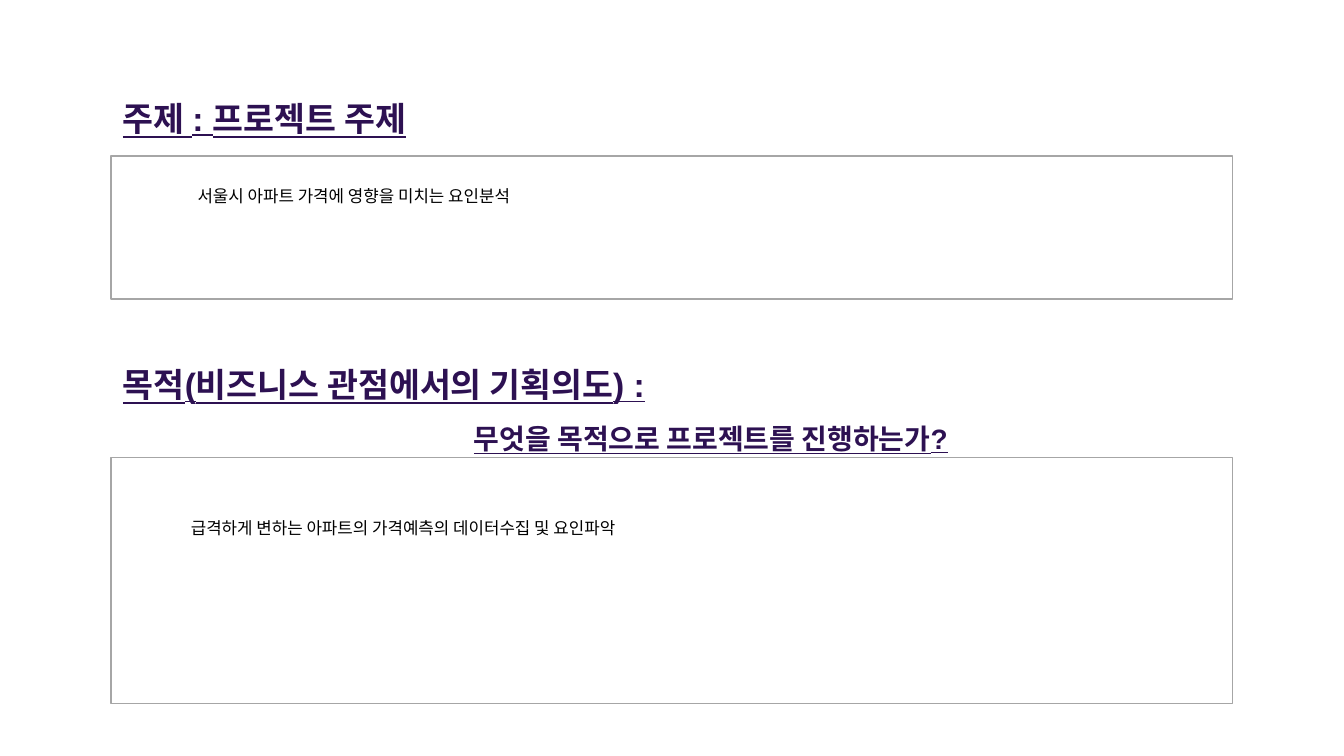
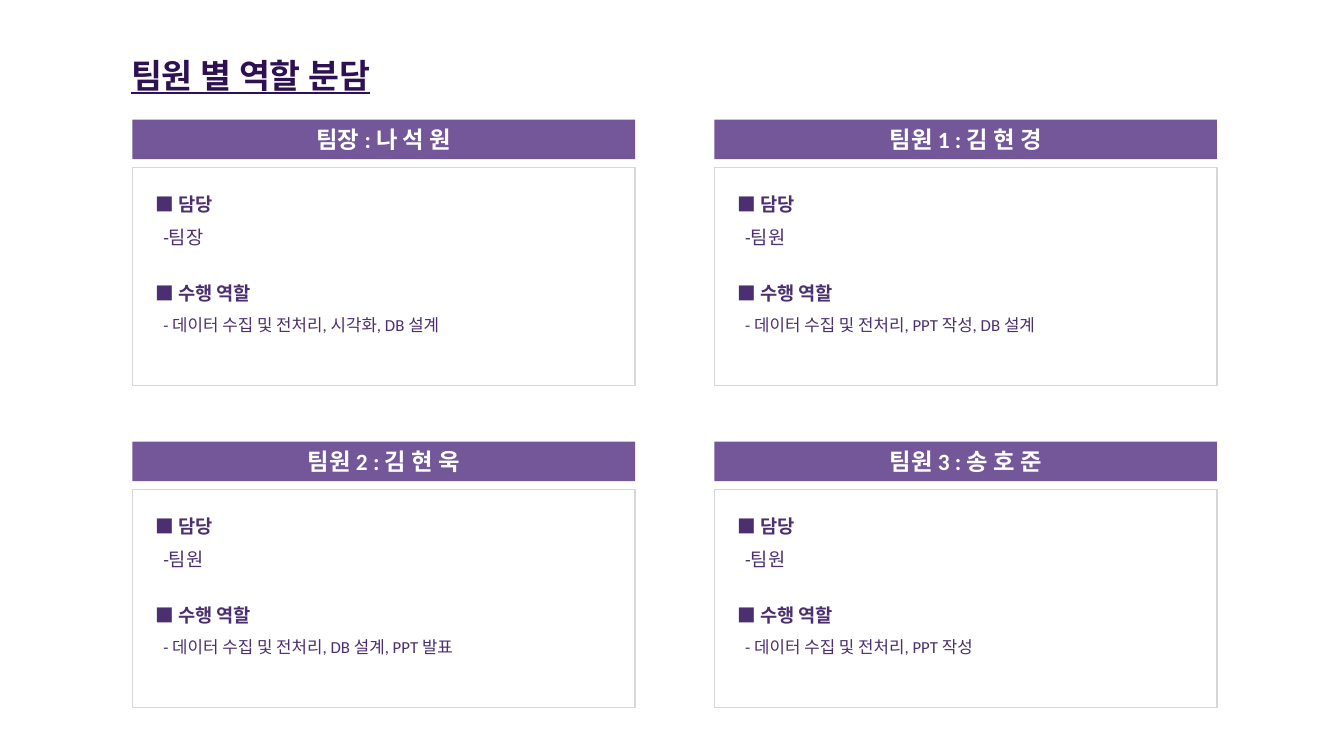
from dataclasses import dataclass

import pptx
import pptx.dml.color
import pptx.enum.shapes
import pptx.enum.text
import pptx.util

COLORS = {
    "heading": "2D1152",
    "body": "4B2F70",
    "band": "735798",
    "frame": "A6A6A6",
    "card": "D6D7DE",
    "black": "000000",
    "white": "FFFFFF",
}
SLIDE_WIDTH = pptx.util.Inches(20)
SLIDE_HEIGHT = pptx.util.Inches(11.25)
HEADING = dict(size=36, font="Arial", color="heading", bold=True, underline=True)


@dataclass(frozen=True)
class Area:
    """Left, top, width and height in percent of the slide's size."""
    left: float
    top: float
    width: float
    height: float

    def lengths(self) -> list[int]:
        return [round(share * full / 100) for share, full in (
            (self.left, SLIDE_WIDTH), (self.top, SLIDE_HEIGHT),
            (self.width, SLIDE_WIDTH), (self.height, SLIDE_HEIGHT))]

    def inside(self, left: float, top: float, width: float, height: float) -> "Area":
        return Area(self.left + left, self.top + top, width, height)


@dataclass(frozen=True)
class Member:
    title: str
    duty: str
    tasks: str


MEMBERS = [
    Member("팀장 : 나 석 원", "팀장", "데이터 수집 및 전처리, 시각화, DB 설계"),
    Member("팀원 1 : 김 현 경", "팀원", "데이터 수집 및 전처리, PPT 작성, DB 설계"),
    Member("팀원 2 : 김 현 욱", "팀원", "데이터 수집 및 전처리, DB 설계, PPT 발표"),
    Member("팀원 3 : 송 호 준", "팀원", "데이터 수집 및 전처리, PPT 작성"),
]


def rgb(name: str) -> pptx.dml.color.RGBColor:
    return pptx.dml.color.RGBColor.from_string(COLORS[name])


def write(frame, text: str, *, size: float, font: str = "Calibri", color: str = "black",
          bold: bool = False, underline: bool = False, spacing: float = 1.0,
          before: float = 0, indent: float = 0, align=None) -> None:
    """Add one paragraph, filling the frame's first one while it is empty."""
    paragraph = frame.paragraphs[0] if not frame.text else frame.add_paragraph()
    paragraph.line_spacing = spacing
    paragraph.space_before = pptx.util.Pt(before)
    paragraph.alignment = align
    if indent:
        properties = paragraph._p.get_or_add_pPr()
        properties.set("marL", str(pptx.util.Inches(indent)))
        properties.set("indent", "0")
    run = paragraph.add_run()
    run.text = text
    run.font.size = pptx.util.Pt(size)
    run.font.name = font
    run.font.color.rgb = rgb(color)
    run.font.bold = bold
    run.font.underline = underline


def add_text_frame(slide, area: Area, wrap: bool = True):
    frame = slide.shapes.add_textbox(*area.lengths()).text_frame
    frame.word_wrap = wrap
    frame.auto_size = pptx.enum.text.MSO_AUTO_SIZE.SHAPE_TO_FIT_TEXT
    frame.margin_left = frame.margin_right = pptx.util.Inches(0.18)
    frame.margin_top = frame.margin_bottom = pptx.util.Inches(0.09)
    return frame


def add_rectangle(slide, area: Area, fill: str = "", line: str = ""):
    shape = slide.shapes.add_shape(
        pptx.enum.shapes.MSO_SHAPE.RECTANGLE, *area.lengths())
    shape.shadow.inherit = False
    if fill:
        shape.fill.solid()
        shape.fill.fore_color.rgb = rgb(fill)
    else:
        shape.fill.background()
    if line:
        shape.line.color.rgb = rgb(line)
        shape.line.width = pptx.util.Pt(1.5)
    else:
        shape.line.fill.background()
    return shape


def add_card(slide, area: Area, member: Member) -> None:
    band = add_rectangle(slide, area, fill="band")
    band.text_frame.vertical_anchor = pptx.enum.text.MSO_ANCHOR.MIDDLE
    write(band.text_frame, member.title, size=25, color="white", bold=True,
          align=pptx.enum.text.PP_ALIGN.CENTER)
    add_rectangle(slide, area.inside(0, 6.31, area.width, 28.89), line="card")
    frame = add_text_frame(slide, area.inside(0.8, 7.38, 35.85, 22.13))
    body = dict(color="body", spacing=1.5)
    write(frame, "■ 담당", size=20, bold=True, **body)
    write(frame, f"-{member.duty}", size=20, indent=0.12, **body)
    write(frame, "■ 수행 역할", size=20, bold=True, before=24, **body)
    write(frame, f"- {member.tasks}", size=18, indent=0.12, **body)


def build_topic_slide(slide) -> None:
    # Frames
    for top, height in ((20.62, 18.93), (60.53, 32.53)):
        add_rectangle(slide, Area(8.25, top, 83.45, height), line="frame")

    # Headings
    write(add_text_frame(slide, Area(8.25, 12.18, 29.7, 7.02)),
          "주제 : 프로젝트 주제", **HEADING)
    purpose = add_text_frame(slide, Area(8.25, 44.71, 83.45, 16.44))
    write(purpose, "목적(비즈니스 관점에서의 기획의도) :", spacing=1.5, **HEADING)
    write(purpose, "무엇을 목적으로 프로젝트를 진행하는가?", spacing=1.5, indent=5.22,
          **{**HEADING, "size": 30})

    # Answers
    for left, top, answer in (
            (13.8, 23.73, "서울시 아파트 가격에 영향을 미치는 요인분석"),
            (13.3, 67.73, "급격하게 변하는 아파트의 가격예측의 데이터수집 및 요인파악")):
        write(add_text_frame(slide, Area(left, top, 73.7, 4.27)), answer, size=18)


def build_roles_slide(slide) -> None:
    write(add_text_frame(slide, Area(8.85, 6.4, 22.15, 7.02), wrap=False),
          "팀원 별 역할 분담", **HEADING)
    # Cards in two columns and two rows
    for index, member in enumerate(MEMBERS):
        row, column = divmod(index, 2)
        add_card(slide, Area(9.85 + 43.3 * column, 15.82 + 42.58 * row, 37.4, 5.24),
                 member)


def main() -> None:
    presentation = pptx.Presentation()
    presentation.slide_width = SLIDE_WIDTH
    presentation.slide_height = SLIDE_HEIGHT
    blank = presentation.slide_layouts[6]
    for build in (build_topic_slide, build_roles_slide):
        build(presentation.slides.add_slide(blank))
    presentation.save("out.pptx")


if __name__ == "__main__":
    main()
